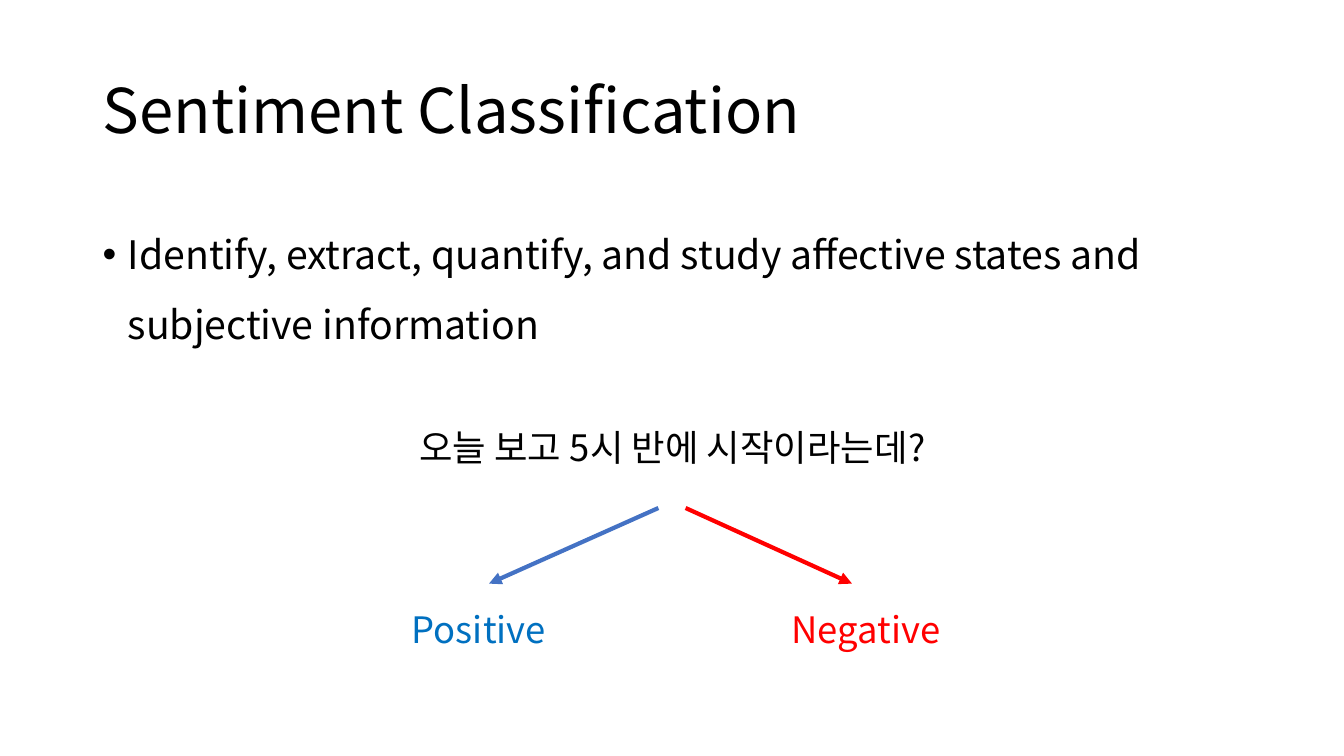
"""Build the Sentiment Classification slide."""
from dataclasses import dataclass

from lxml.etree import SubElement as Sub
from pptx import Presentation
from pptx.dml.color import RGBColor as Rgb
from pptx.enum.shapes import MSO_CONNECTOR as Link
from pptx.enum.text import MSO_ANCHOR as Anchor, MSO_AUTO_SIZE as Fit, PP_ALIGN as Align
from pptx.oxml.ns import qn
from pptx.util import Pt


@dataclass(frozen=True)
class Theme:
    font: str = "Noto Sans CJK KR"
    ink: str = "000000"
    red: str = "FF0000"
    blue: str = "0070C0"
    arrow: str = "4472C4"
    head: int = 44
    body: int = 28
    note: int = 26
    line: int = 3


THEME = Theme()
PX = 9144
SIZE = (1333, 750)
TITLE = "Sentiment Classification"
POINT = "Identify, extract, quantify, and study affective states and subjective information"
QUERY = "오늘 보고 5시 반에 시작이라는데?"
LEFT, WIDE = 92, 1150
ASK = (346, 417, 642, 54)
TAG_W, TAG_Y = 258, 597
TOP, END = 504, 579
CLASSES = [
    ("Positive", THEME.blue, THEME.arrow, 653, 485),
    ("Negative", THEME.red, THEME.red, 680, 845),
]


def emu(*vals):
    return [v * PX for v in vals]


def write(shape, text, size, color=THEME.ink, align=Align.LEFT):
    frame = shape.text_frame
    frame.word_wrap = True
    frame.auto_size = Fit.NONE
    para = frame.paragraphs[0]
    para.alignment = align
    run = para.add_run()
    run.text = text
    run.font.size = Pt(size)
    run.font.color.rgb = Rgb.from_string(color)
    run.font.name = THEME.font
    Sub(run.font._element, qn("a:ea"), typeface=THEME.font)
    return para


def label(slide, box, text, size, color=THEME.ink, align=Align.CENTER):
    return write(slide.shapes.add_textbox(*emu(*box)), text, size, color, align)


def bullet(para):
    para.line_spacing = 1.5
    para.space_before = Pt(10)
    props = para._p.get_or_add_pPr()
    props.set("marL", str(25 * PX))
    props.set("indent", str(-25 * PX))
    Sub(props, qn("a:buFont"), typeface="Arial")
    Sub(props, qn("a:buChar"), char="•")


def arrow(slide, ends, color):
    link = slide.shapes.add_connector(Link.STRAIGHT, *emu(*ends))
    link.line.color.rgb = Rgb.from_string(color)
    link.line.width = Pt(THEME.line)
    Sub(link.line._get_or_add_ln(), qn("a:tailEnd"), type="triangle")
    Sub(link._element.spPr, qn("a:effectLst"))


def main():
    deck = Presentation()
    deck.slide_width, deck.slide_height = emu(*SIZE)
    slide = deck.slides.add_slide(deck.slide_layouts[5])

    title = slide.shapes.title
    title.left, title.top, title.width, title.height = emu(LEFT, 40, WIDE, 145)
    title.text_frame.vertical_anchor = Anchor.MIDDLE
    write(title, TITLE, THEME.head).line_spacing = 0.9

    bullet(label(slide, (LEFT, 200, WIDE, 158), POINT, THEME.body, align=Align.LEFT))
    label(slide, ASK, QUERY, THEME.note)

    left, _, width, high = ASK
    step = width - TAG_W
    for i, (name, color, stroke, start, stop) in enumerate(CLASSES):
        arrow(slide, (start, TOP, stop, END), stroke)
        label(slide, (left + i * step, TAG_Y, TAG_W, high), name, THEME.note, color)

    deck.save("out.pptx")


if __name__ == "__main__":
    main()
